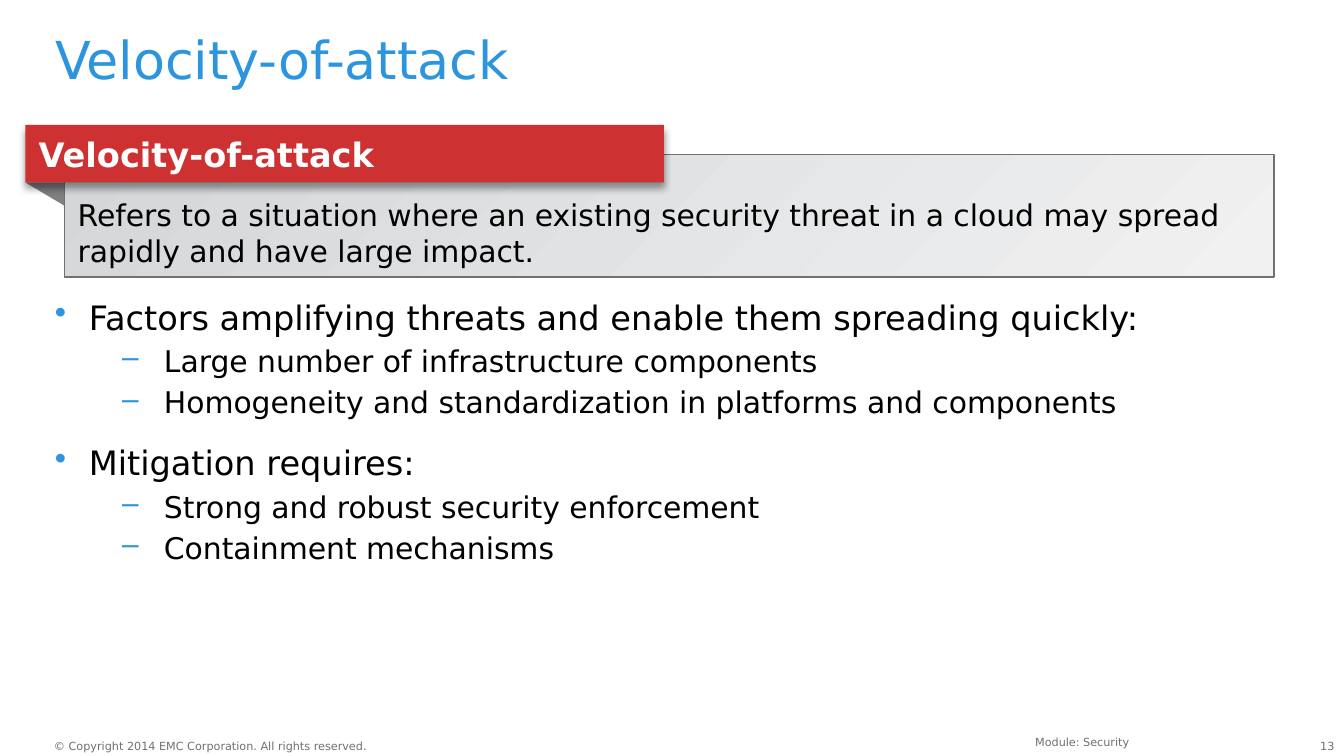
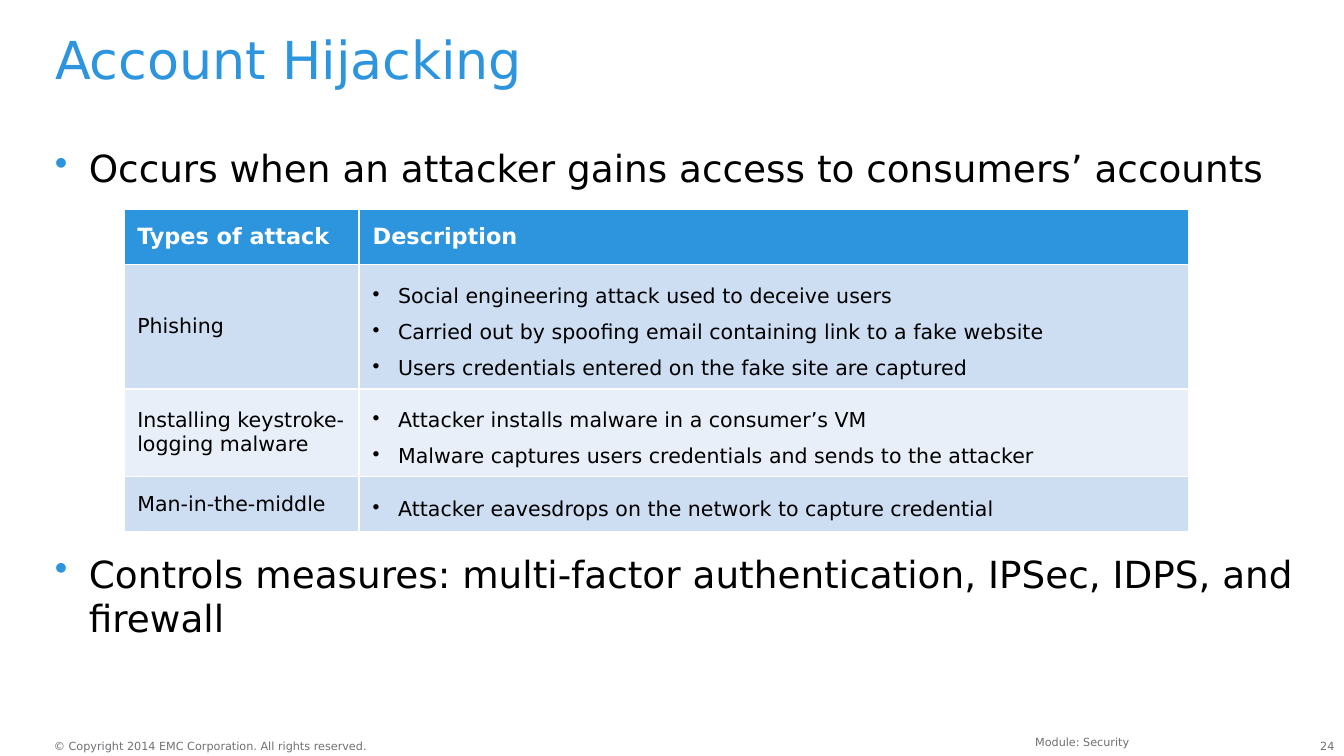
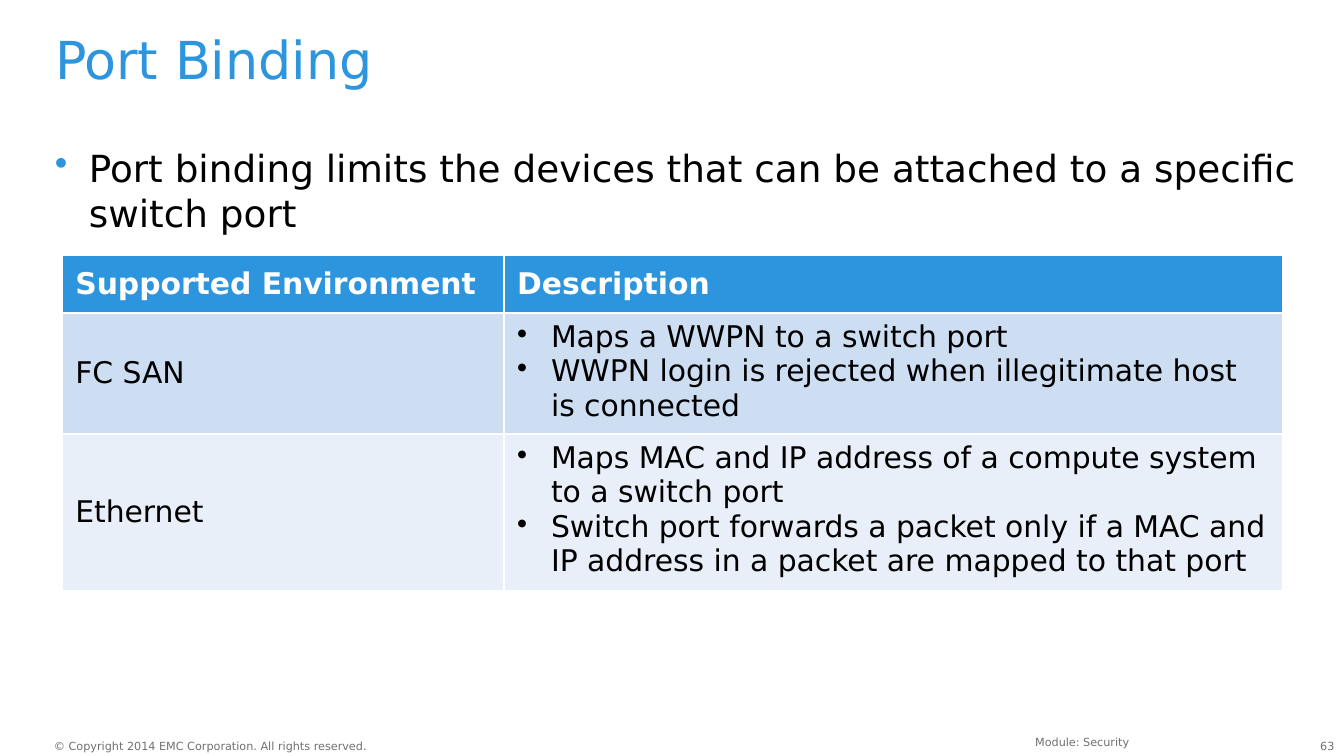
from lxml.etree import SubElement
from pptx import Presentation
from pptx.dml.color import RGBColor
from pptx.enum.shapes import MSO_SHAPE
from pptx.enum.text import MSO_ANCHOR, MSO_AUTO_SIZE, PP_ALIGN
from pptx.oxml.ns import qn
from pptx.util import Cm, Pt

BLUE = RGBColor(0x2C, 0x95, 0xDD)
RED = RGBColor(0xCE, 0x31, 0x31)
BLACK = RGBColor(0, 0, 0)
WHITE = RGBColor(255, 255, 255)
GREY = RGBColor(0x71, 0x70, 0x74)
FOLD = RGBColor(0x80, 0x80, 0x80)
DIM = RGBColor(0xD4, 0xD6, 0xD8)
PALE = RGBColor(0xF1, 0xF1, 0xF2)
BANDS = [RGBColor(0xCD, 0xDD, 0xF2), RGBColor(0xE8, 0xEF, 0xF9)]
FACE = "DejaVu Sans"

LEFT = {"alignment": PP_ALIGN.LEFT}
RIGHT = {"alignment": PP_ALIGN.RIGHT}
STYLES = {
    "title": {"para": {**LEFT, "line_spacing": 0.9}, "size": 28, "color": BLUE},
    "foot": {"para": LEFT, "size": 6, "color": GREY},
    "right": {"para": RIGHT, "size": 6, "color": GREY},
    "banner": {"para": LEFT, "size": 18, "color": WHITE, "bold": True},
    "plain": {"para": LEFT, "size": 16},
    "point": {"para": {"space_before": Pt(12)}, "size": 20, "mark": ("•", 0.64, 0.64, BLUE)},
    "topic": {"para": {"space_before": Pt(12)}, "size": 18, "mark": ("•", 0.64, 0.64, BLUE)},
    "dash": {"para": {"space_before": Pt(3)}, "size": 16, "mark": ("–", 2.06, 0.79, BLUE)},
    "head12": {"para": {}, "size": 12, "color": WHITE, "bold": True},
    "head16": {"para": {}, "size": 16, "color": WHITE, "bold": True},
    "cell11": {"para": {}, "size": 11},
    "cell16": {"para": {}, "size": 16},
    "list11": {"para": {"line_spacing": 1.5}, "size": 11, "mark": ("•", 0.48, 0.48, None)},
    "list16": {"para": {}, "size": 16, "mark": ("•", 0.64, 0.64, None)},
}
FLAT = {"margin_left": 0, "margin_top": 0, "margin_right": 0, "margin_bottom": 0}


def write(frame, lines, form=None):
    for key, val in (form or {}).items():
        setattr(frame, key, val)
    for i, (name, text) in enumerate(lines):
        style = STYLES[name]
        para = frame.paragraphs[0] if i == 0 else frame.add_paragraph()
        if "mark" in style:
            sign, left, hang, tint = style["mark"]
            props = para._p.get_or_add_pPr()
            props.set("marL", str(Cm(left)))
            props.set("indent", str(-Cm(hang)))
            if tint is not None:
                SubElement(SubElement(props, qn("a:buClr")), qn("a:srgbClr")).set("val", str(tint))
            SubElement(props, qn("a:buChar")).set("char", sign)
        for key, val in style["para"].items():
            if i or key != "space_before":
                setattr(para, key, val)
        run = para.add_run()
        run.text = text
        font = {"name": FACE, "size": Pt(style["size"]), "bold": style.get("bold", False)}
        for key, val in font.items():
            setattr(run.font, key, val)
        run.font.color.rgb = style.get("color", BLACK)


def label(slide, box, lines, form):
    shape = slide.shapes.add_textbox(*map(Cm, box))
    write(shape.text_frame, lines, {"word_wrap": True, **form})


deck = Presentation()
deck.slide_width, deck.slide_height = Cm(25.4), Cm(14.29)

slides = []
for name, page in [("Velocity-of-attack", "13"), ("Account Hijacking", "24"), ("Port Binding", "63")]:
    slide = deck.slides.add_slide(deck.slide_layouts[5])
    title = slide.shapes.title
    for key, val in {"left": 1.04, "top": 0.64, "width": 23.5, "height": 1.27}.items():
        setattr(title, key, Cm(val))
    form = {**FLAT, "auto_size": MSO_AUTO_SIZE.NONE, "vertical_anchor": MSO_ANCHOR.TOP}
    write(title.text_frame, [("title", name)], form)
    label(slide, (24.43, 13.97, 0.79, 0.25), [("right", page)], FLAT)
    rights = "© Copyright 2014 EMC Corporation. All rights reserved."
    label(slide, (1.02, 13.97, 6.02, 0.25), [("foot", rights)], {**FLAT, "word_wrap": False})
    label(slide, (7.19, 13.77, 14.4, 0.38), [("right", "Module: Security")], {})
    slides.append(slide)
attack, hijack, port = slides

label(attack, (1.04, 5.61, 21.34, 6.83), [
    ("topic", "Factors amplifying threats and enable them spreading quickly:"),
    ("dash", "Large number of infrastructure components"),
    ("dash", "Homogeneity and standardization in platforms and components"),
    ("topic", "Mitigation requires:"),
    ("dash", "Strong and robust security enforcement"),
    ("dash", "Containment mechanisms"),
], FLAT)

pen = attack.shapes.build_freeform(Cm(0.48), Cm(3.45))
pen.add_line_segments([(Cm(1.22), Cm(3.45)), (Cm(1.22), Cm(3.89))], close=True)
fold = pen.convert_to_shape()
panel = attack.shapes.add_shape(MSO_SHAPE.RECTANGLE, Cm(1.22), Cm(2.92), Cm(22.86), Cm(2.31))
banner = attack.shapes.add_shape(MSO_SHAPE.RECTANGLE, Cm(0.48), Cm(2.36), Cm(12.07), Cm(1.09))
for shape, tint in [(fold, FOLD), (banner, RED)]:
    shape.fill.solid()
    shape.fill.fore_color.rgb = tint
    shape.line.fill.background()
for shape in (fold, panel, banner):
    shape.shadow.inherit = False

panel.fill.gradient()
panel.fill.gradient_angle = 315
for stop, tint in zip(panel.fill.gradient_stops, (DIM, PALE)):
    stop.color.rgb = tint
panel.line.color.rgb = GREY
panel.line.width = Pt(1)
meaning = "Refers to a situation where an existing security threat in a cloud may spread rapidly and have large impact."
middle = {"vertical_anchor": MSO_ANCHOR.MIDDLE, "word_wrap": True}
write(panel.text_frame, [("plain", meaning)], {**middle, "margin_top": Cm(0.76)})
write(banner.text_frame, [("banner", "Velocity-of-attack")], middle)

glow = SubElement(banner._element.spPr.find(qn("a:effectLst")), qn("a:outerShdw"))
for key, val in {"blurRad": Pt(4), "dist": Pt(3), "dir": 5400000, "rotWithShape": 0}.items():
    glow.set(key, str(val))
shade = SubElement(glow, qn("a:srgbClr"))
shade.set("val", str(BLACK))
SubElement(shade, qn("a:alpha")).set("val", "40000")

label(hijack, (1.04, 2.74, 23.5, 0.9),
      [("point", "Occurs when an attacker gains access to consumers’ accounts")], FLAT)
label(hijack, (1.04, 10.41, 23.5, 1.7),
      [("point", "Controls measures: multi-factor authentication, IPSec, IDPS, and firewall")], FLAT)
label(port, (1.04, 2.74, 23.5, 1.7),
      [("point", "Port binding limits the devices that can be attached to a specific switch port")], FLAT)

threats = [
    ("Types of attack", ["Description"]),
    ("Phishing", [
        "Social engineering attack used to deceive users",
        "Carried out by spoofing email containing link to a fake website",
        "Users credentials entered on the fake site are captured",
    ]),
    ("Installing keystroke-logging malware", [
        "Attacker installs malware in a consumer’s VM",
        "Malware captures users credentials and sends to the attacker",
    ]),
    ("Man-in-the-middle", ["Attacker eavesdrops on the network to capture credential"]),
]
links = [
    ("Supported Environment", ["Description"]),
    ("FC SAN", [
        "Maps a WWPN to a switch port",
        "WWPN login is rejected when illegitimate host is connected",
    ]),
    ("Ethernet", [
        "Maps MAC and IP address of a compute system to a switch port",
        "Switch port forwards a packet only if a MAC and IP address in a packet are mapped to that port",
    ]),
]
grids = [
    (hijack, threats, (2.34, 3.96), (4.45, 15.67), (1.04, 2.29, 1.6, 1.04),
     ("head12", "cell11", "list11"), MSO_ANCHOR.MIDDLE),
    (port, links, (1.17, 4.83), (8.35, 14.72), (1.09, 2.18, 2.84),
     ("head16", "cell16", "list16"), MSO_ANCHOR.TOP),
]
for slide, data, spot, wide, high, names, anchor in grids:
    head, cell, item = names
    size = (sum(wide), sum(high))
    table = slide.shapes.add_table(len(data), 2, *map(Cm, spot + size)).table
    for col, span in zip(table.columns, wide):
        col.width = Cm(span)
    for r, (kind, notes) in enumerate(data):
        table.rows[r].height = Cm(high[r])
        first, last = table.cell(r, 0), table.cell(r, 1)
        for box in (first, last):
            box.fill.solid()
            box.fill.fore_color.rgb = BANDS[(r - 1) % 2] if r else BLUE
            box.vertical_anchor = MSO_ANCHOR.MIDDLE
        if r:
            last.vertical_anchor = anchor
        write(first.text_frame, [(cell if r else head, kind)])
        write(last.text_frame, [(item if r else head, note) for note in notes])

deck.save("out.pptx")
